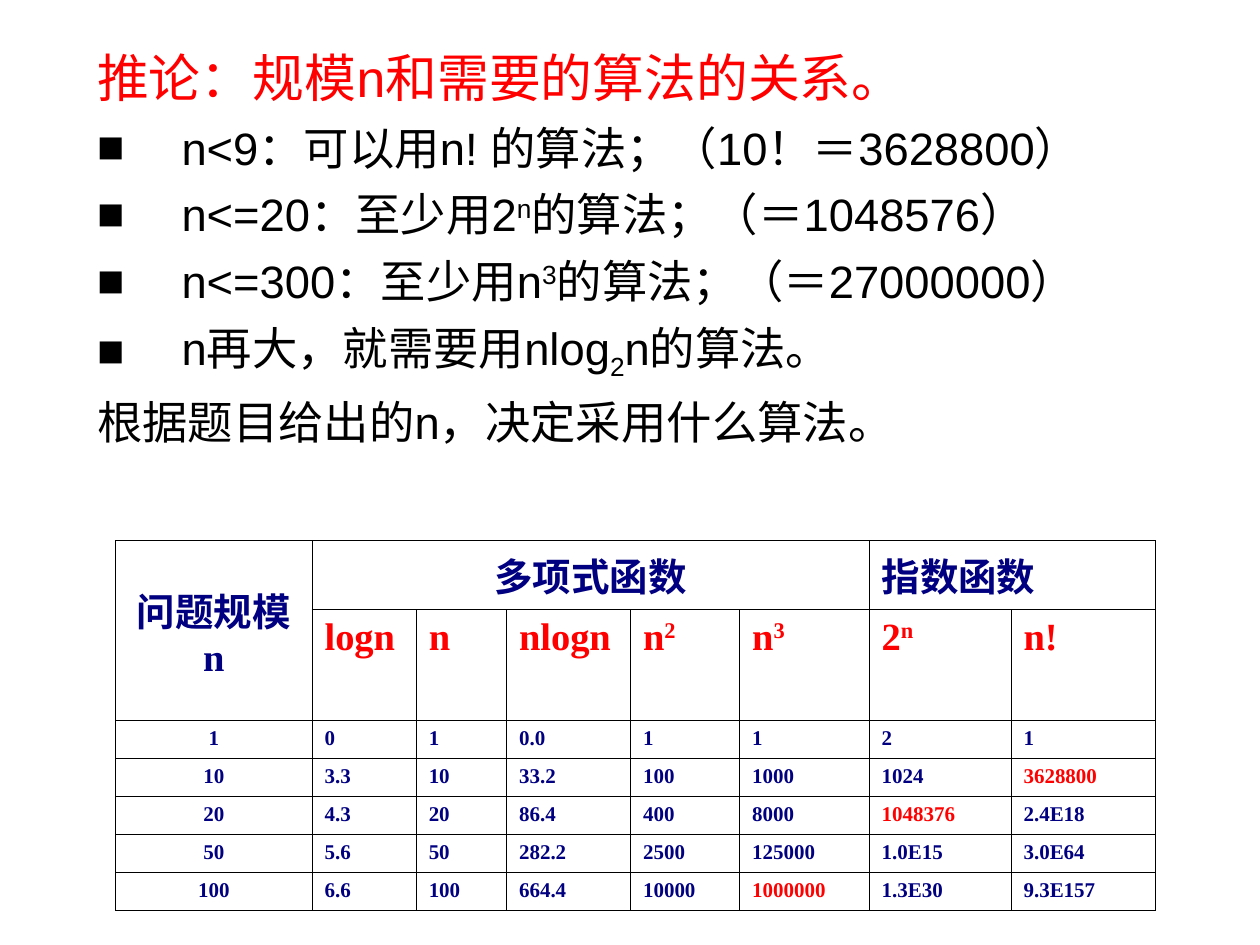
"""Build a slide relating problem size n to the algorithm it calls for."""
from dataclasses import dataclass

from lxml import etree
from pptx import Presentation
from pptx import util as u
from pptx.dml.color import RGBColor
from pptx.enum import text
from pptx.oxml.ns import qn


@dataclass(frozen=True)
class Theme:
    black: str = "000000"
    red: str = "FF0000"
    navy: str = "000080"
    sans: str = "Arial"
    serif: str = "Times New Roman"
    chinese: str = "Noto Sans CJK SC"
    title: float = 29.6
    body: float = 25.9
    heading: float = 22
    value: float = 12
    rule: float = 0.4


THEME = Theme()
UP, DOWN = 30, -25

TITLE = ["推论：规模n和需要的算法的关系。"]
RULES = [
    ["n<9：可以用n! 的算法；（10！＝3628800）"],
    ["n<=20：至少用2", ("n", UP), "的算法；（＝1048576）"],
    ["n<=300：至少用n", ("3", UP), "的算法；（＝27000000）"],
    ["n再大，就需要用nlog", ("2", DOWN), "n的算法。"],
]
CONCLUSION = ["根据题目给出的n，决定采用什么算法。"]

SIZE_HEADING = [["问题规模"], ["n"]]
GROUPS = [(1, 5, "多项式函数"), (6, 7, "指数函数")]
FUNCTIONS = [["logn"], ["n"], ["nlogn"], ["n", ("2", UP)], ["n", ("3", UP)],
             ["2", ("n", UP)], ["n!"]]
GROWTH = [
    ["1", "0", "1", "0.0", "1", "1", "2", "1"],
    ["10", "3.3", "10", "33.2", "100", "1000", "1024", "3628800"],
    ["20", "4.3", "20", "86.4", "400", "8000", "1048376", "2.4E18"],
    ["50", "5.6", "50", "282.2", "2500", "125000", "1.0E15", "3.0E64"],
    ["100", "6.6", "100", "664.4", "10000", "1000000", "1.3E30", "9.3E157"],
]
LIMITS = {"3628800", "1048376", "1000000"}
COLUMNS = [3.96, 2.1, 1.82, 2.5, 2.2, 2.61, 2.86, 2.91]
ROWS = [1.39, 2.24] + [0.76] * len(GROWTH)


def write(paragraph, parts, size, color, latin, bold=False, centered=False):
    for part in parts:
        wording, shift = part if isinstance(part, tuple) else (part, 0)
        run = paragraph.add_run()
        run.text = wording
        if shift:
            run._r.get_or_add_rPr().set("baseline", str(shift * 1000))
    font = paragraph.font
    font.size, font.name, font.bold = u.Pt(size), latin, bold
    font.color.rgb = RGBColor.from_string(color)
    etree.SubElement(font._element, qn("a:ea"), typeface=THEME.chinese)
    if centered:
        paragraph.alignment = text.PP_ALIGN.CENTER


def add_bullet(paragraph):
    properties = paragraph._p.get_or_add_pPr()
    properties.set("marL", str(u.Cm(1.7)))
    properties.set("indent", str(u.Cm(-1.7)))
    bullet_color = etree.SubElement(properties, qn("a:buClr"))
    etree.SubElement(bullet_color, qn("a:srgbClr"), val=THEME.black)
    etree.SubElement(properties, qn("a:buFont"), typeface=THEME.sans)
    etree.SubElement(properties, qn("a:buChar"), char="■")


def add_borders(cell):
    properties = cell._tc.get_or_add_tcPr()
    for position, side in enumerate(("lnL", "lnR", "lnT", "lnB")):
        line = etree.Element(qn(f"a:{side}"), w=str(u.Pt(THEME.rule)))
        fill = etree.SubElement(line, qn("a:solidFill"))
        etree.SubElement(fill, qn("a:srgbClr"), val=THEME.black)
        properties.insert(position, line)


def add_inference(slide):
    frame = slide.shapes.add_textbox(u.Cm(1.71), u.Cm(0.79), u.Cm(22.58), u.Cm(9.25)).text_frame
    frame.word_wrap = True
    write(frame.paragraphs[0], TITLE, THEME.title, THEME.red, THEME.sans)
    for parts in RULES + [CONCLUSION]:
        line = frame.add_paragraph()
        line.space_before = u.Pt(7)
        if parts is not CONCLUSION:
            add_bullet(line)
        write(line, parts, THEME.body, THEME.black, THEME.sans)


def add_growth(slide):
    table = slide.shapes.add_table(len(ROWS), len(COLUMNS), u.Cm(2.33), u.Cm(10.9),
                                   u.Cm(sum(COLUMNS)), u.Cm(sum(ROWS))).table
    table.first_row = table.horz_banding = False
    for column, width in zip(table.columns, COLUMNS):
        column.width = u.Cm(width)
    for row, height in zip(table.rows, ROWS):
        row.height = u.Cm(height)
    for cell in table.iter_cells():
        cell.fill.background()
        add_borders(cell)

    size_cell = table.cell(0, 0)
    size_cell.merge(table.cell(1, 0))
    size_cell.vertical_anchor = text.MSO_ANCHOR.MIDDLE
    size_cell.text_frame.add_paragraph()
    for paragraph, parts in zip(size_cell.text_frame.paragraphs, SIZE_HEADING):
        write(paragraph, parts, THEME.heading, THEME.navy, THEME.serif, True, True)
    for first, last, group in GROUPS:
        group_cell = table.cell(0, first)
        group_cell.merge(table.cell(0, last))
        write(group_cell.text_frame.paragraphs[0], [group], THEME.heading, THEME.navy,
              THEME.chinese, True, first == 1)
    for column, parts in enumerate(FUNCTIONS, 1):
        write(table.cell(1, column).text_frame.paragraphs[0], parts, THEME.heading,
              THEME.red, THEME.serif, True)
    for row, values in enumerate(GROWTH, 2):
        for column, value in enumerate(values):
            color = THEME.red if value in LIMITS else THEME.navy
            write(table.cell(row, column).text_frame.paragraphs[0], [value], THEME.value,
                  color, THEME.serif, True, column == 0)


def main():
    deck = Presentation()
    deck.slide_width, deck.slide_height = u.Cm(25.4), u.Cm(19.05)
    slide = deck.slides.add_slide(deck.slide_layouts[6])
    add_inference(slide)
    add_growth(slide)
    deck.save("out.pptx")


if __name__ == "__main__":
    main()
